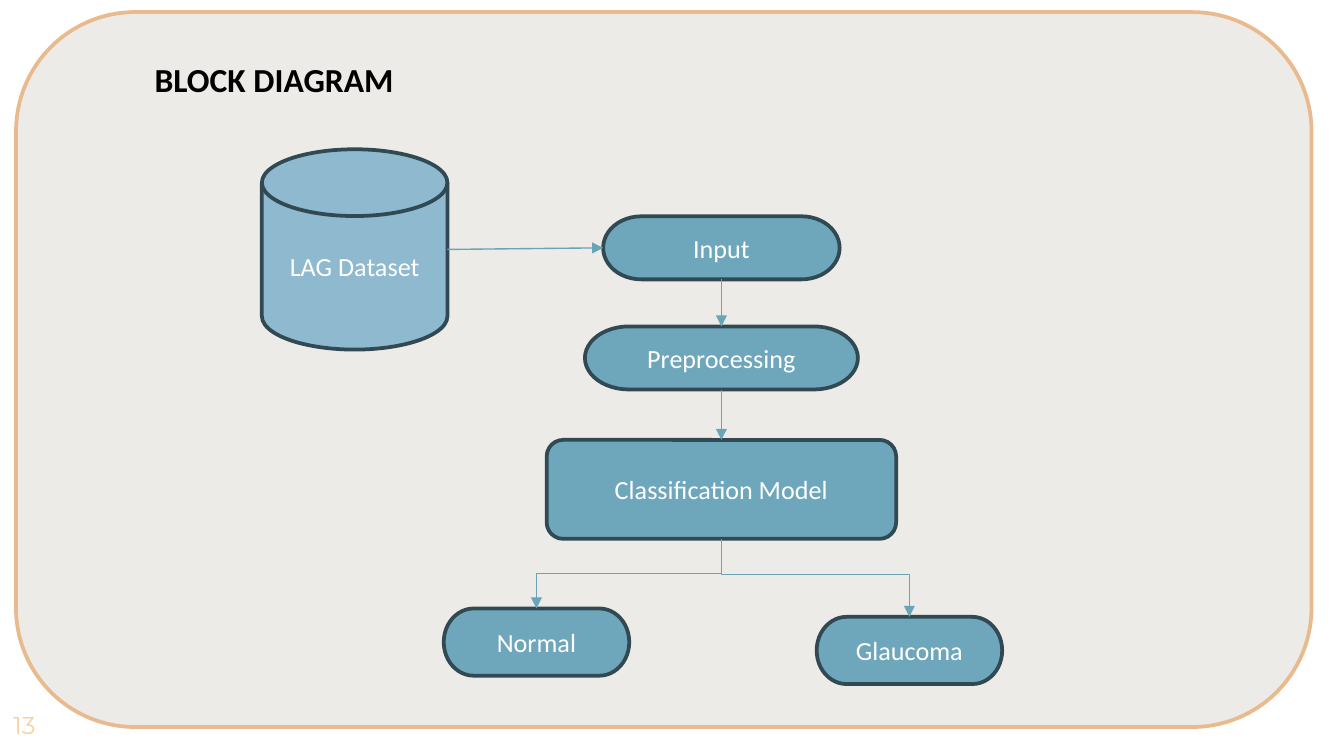
from lxml.etree import SubElement
from pptx import Presentation
from pptx.dml.color import RGBColor
from pptx.enum.shapes import MSO_CONNECTOR as Connector, MSO_SHAPE as Shape
from pptx.enum.text import MSO_ANCHOR as Anchor, MSO_AUTO_SIZE as AutoSize, PP_ALIGN as Align
from pptx.oxml.ns import qn
from pptx.util import Pt

THEME = {
    "font": "Calibri", "number_font": "Montserrat",
    "title_size": 18, "label_size": 14, "number_size": 13,
    "outline_width": 2, "arrow_width": 0.75,
    "panel": "EDEBE7", "panel_line": "E9BA8E", "number": "F6D2A2",
    "disk": "8EB9CE", "node": "6EA7BB", "outline": "304952", "arrow": "6AA4B9",
    "title": "000000", "label": "FFFFFF",
}
TITLE = "BLOCK DIAGRAM"
SLIDE_NUMBER = "13"
AXIS = 386.5
NODES = [
    ("LAG Dataset", Shape.FLOWCHART_MAGNETIC_DISK, "disk", 190, 80, 99.4, 107.3),
    ("Input", Shape.FLOWCHART_TERMINATOR, "node", AXIS, 115.9, 126.7, 33.8),
    ("Preprocessing", Shape.FLOWCHART_TERMINATOR, "node", AXIS, 174.9, 146.2, 33.8),
    ("Classification Model", Shape.ROUNDED_RECTANGLE, "node", AXIS, 235.7, 187.2, 53),
    ("Normal", Shape.FLOWCHART_TERMINATOR, "node", 287.4, 326, 99.4, 36),
    ("Glaucoma", Shape.FLOWCHART_TERMINATOR, "node", 487.2, 330.5, 99.4, 36),
]
STEPS = [("Input", "Preprocessing"), ("Preprocessing", "Classification Model")]
BRANCHES = [("Classification Model", "Normal", 0.5), ("Classification Model", "Glaucoma", 0.46)]
TOP, LEFT, BOTTOM = 0, 1, 2


def color(name):
    return RGBColor.from_string(THEME[name])


def write(frame, text, size, ink, font="font", align=Align.CENTER, bold=False):
    paragraph = frame.paragraphs[0]
    paragraph.alignment = align
    run = paragraph.add_run()
    run.text = text
    run.font.name = THEME[font]
    run.font.size = Pt(THEME[size])
    run.font.bold = bold
    run.font.color.rgb = color(ink)


def add_box(slide, kind, fill, line, left, top, width, height):
    shape = slide.shapes.add_shape(kind, Pt(left), Pt(top), Pt(width), Pt(height))
    shape.shadow.inherit = False
    shape.fill.solid()
    shape.fill.fore_color.rgb = color(fill)
    shape.line.color.rgb = color(line)
    shape.line.width = Pt(THEME["outline_width"])
    return shape


def add_node(slide, text, kind, fill, center, top, width, height):
    shape = add_box(slide, kind, fill, "outline", center - width / 2, top, width, height)
    shape.text_frame.word_wrap = True
    shape.text_frame.vertical_anchor = Anchor.MIDDLE
    write(shape.text_frame, text, "label_size", "label")
    return shape


def add_arrow(slide, kind, begin_x, begin_y, end_x, end_y):
    arrow = slide.shapes.add_connector(kind, int(begin_x), int(begin_y), int(end_x), int(end_y))
    arrow.line.color.rgb = color("arrow")
    arrow.line.width = Pt(THEME["arrow_width"])
    SubElement(arrow.line._get_or_add_ln(), qn("a:tailEnd"), type="triangle")
    SubElement(arrow.element.spPr, qn("a:effectLst"))
    return arrow


def add_branch(slide, source, target, bend):
    begin_x, begin_y = source.left + source.width / 2, source.top + source.height
    end_x, end_y = target.left + target.width / 2, target.top
    middle_x, middle_y = (begin_x + end_x) / 2, (begin_y + end_y) / 2
    half_drop, half_span = (end_y - begin_y) / 2, abs(end_x - begin_x) / 2
    side = 1 if end_x > begin_x else -1
    arrow = add_arrow(slide, Connector.ELBOW, middle_x + side * half_drop, middle_y - half_span,
                      middle_x - side * half_drop, middle_y + half_span)
    properties = arrow.element.spPr
    properties.find(qn("a:xfrm")).set("rot", str((270 if side > 0 else 90) * 60000))
    adjustments = properties.find(qn("a:prstGeom")).find(qn("a:avLst"))
    SubElement(adjustments, qn("a:gd"), name="adj1", fmla=f"val {round(bend * 100000)}")


def main():
    presentation = Presentation()
    presentation.slide_width, presentation.slide_height = Pt(720), Pt(405)
    slide = presentation.slides.add_slide(presentation.slide_layouts[5])

    number = slide.shapes.add_textbox(Pt(-8.6), Pt(366.5), Pt(43.2), Pt(43.2)).text_frame
    number.margin_left = number.margin_right = number.margin_top = number.margin_bottom = 0
    number.word_wrap = True
    number.vertical_anchor = Anchor.MIDDLE
    write(number, SLIDE_NUMBER, "number_size", "number", "number_font")

    panel = add_box(slide, Shape.ROUNDED_RECTANGLE, "panel", "panel_line", 8.6, 6.5, 694, 383)

    title = slide.shapes.title
    title.left, title.top, title.width, title.height = Pt(75.6), Pt(28), Pt(187), Pt(114)
    title.text_frame.word_wrap = True
    title.text_frame.auto_size = AutoSize.NONE
    title.text_frame.vertical_anchor = Anchor.TOP
    write(title.text_frame, TITLE, "title_size", "title", align=Align.LEFT, bold=True)
    panel.element.addnext(title.element)

    nodes = {node[0]: add_node(slide, *node) for node in NODES}

    disk, first = nodes["LAG Dataset"], nodes["Input"]
    feed = add_arrow(slide, Connector.STRAIGHT, disk.left + disk.width, disk.top + disk.height / 2,
                     first.left, first.top + first.height / 2)
    feed.end_connect(first, LEFT)

    for source, target in STEPS:
        arrow = add_arrow(slide, Connector.STRAIGHT, 0, 0, 0, 0)
        arrow.begin_connect(nodes[source], BOTTOM)
        arrow.end_connect(nodes[target], TOP)

    for source, target, bend in BRANCHES:
        add_branch(slide, nodes[source], nodes[target], bend)

    presentation.save("out.pptx")


if __name__ == "__main__":
    main()
